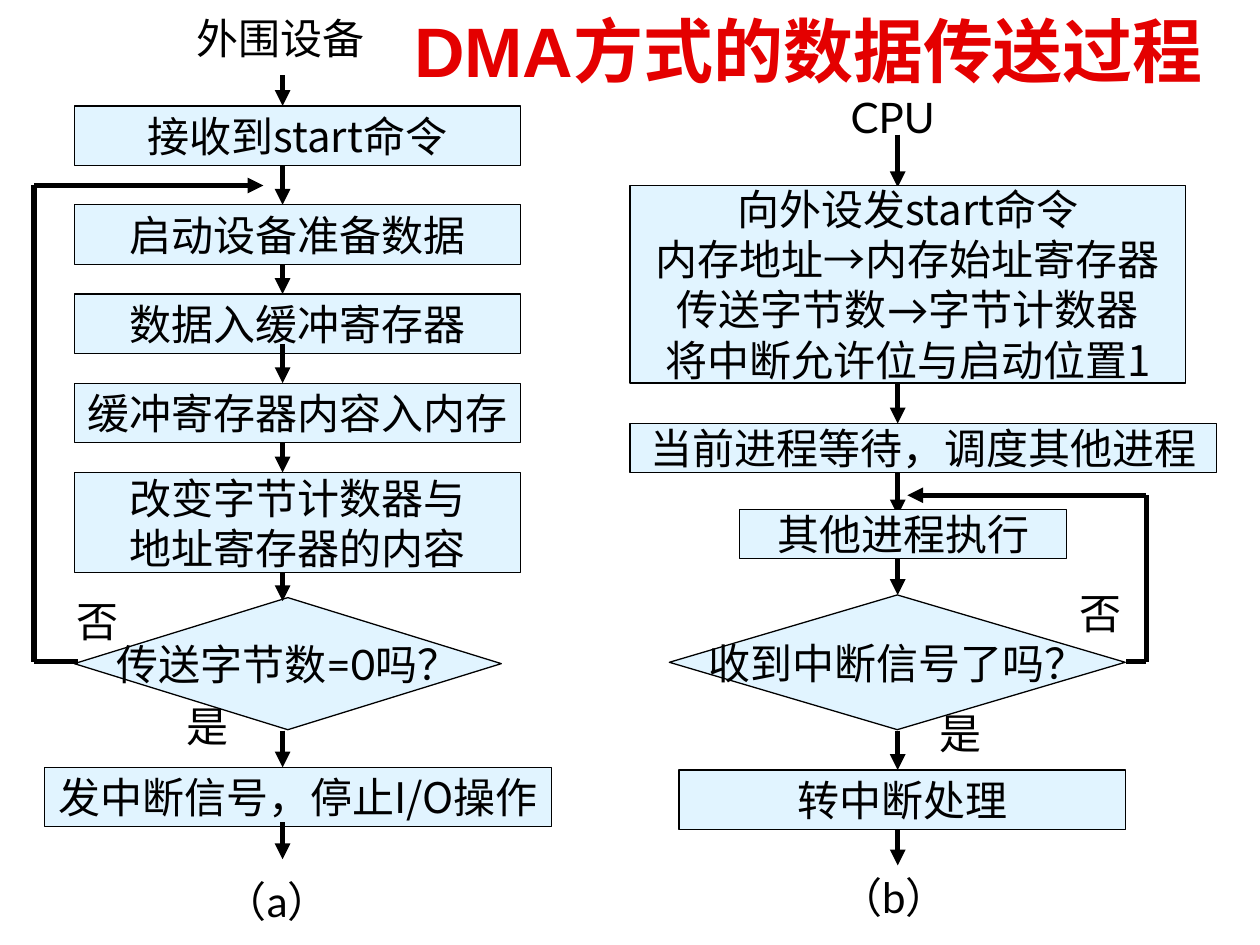
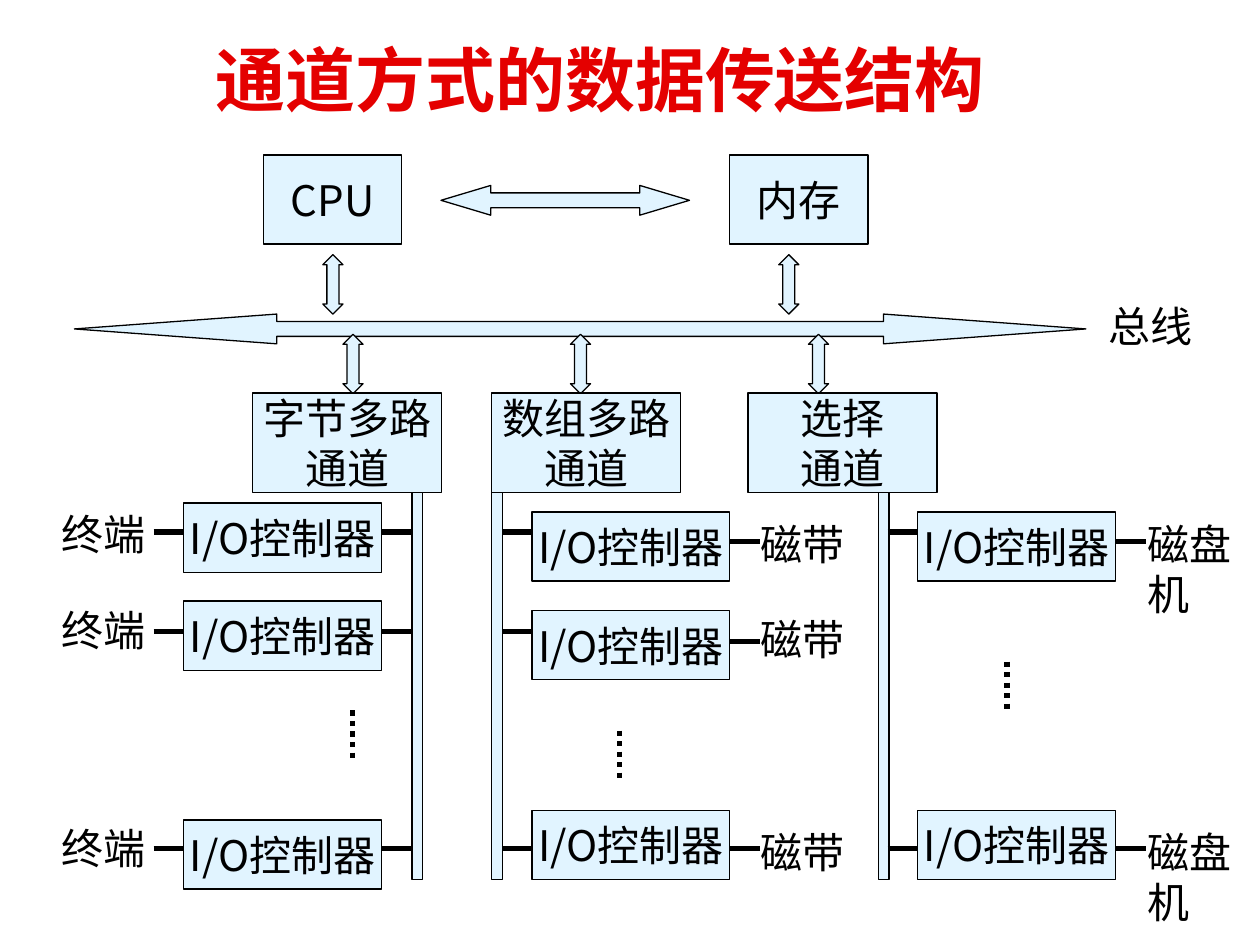
from pptx import Presentation
from pptx.dml.color import RGBColor
from pptx.enum.dml import MSO_LINE
from pptx.enum.shapes import MSO_CONNECTOR, MSO_SHAPE as Preset
from pptx.enum.text import MSO_ANCHOR as Anchor, MSO_AUTO_SIZE as AutoSize, PP_ALIGN as Align
from pptx.oxml.ns import qn
from pptx.util import Pt
from lxml.etree import SubElement

COLORS = {"title": "E40000", "ink": "000000", "box": "E1F4FF", "paper": "FFFFFF"}
BOX_FONT, LABEL_FONT, TITLE_FONT = "Noto Sans CJK SC", "Lato", "Arial"
TITLE_ONLY = 5


def color(name):
    return RGBColor.from_string(COLORS[name])


class Deck:
    """Holds the shared style and the slide being drawn; lengths are points."""

    def __init__(self):
        self.presentation = Presentation()
        self.presentation.slide_width = Pt(720)
        self.presentation.slide_height = Pt(540)
        self.slide = None

    def add_slide(self, text, left, top, width, height):
        layout = self.presentation.slide_layouts[TITLE_ONLY]
        self.slide = self.presentation.slides.add_slide(layout)
        title = self.slide.shapes.title
        title.left, title.top = Pt(left), Pt(top)
        title.width, title.height = Pt(width), Pt(height)
        title.fill.solid()
        title.fill.fore_color.rgb = color("paper")
        frame = title.text_frame
        frame.auto_size = AutoSize.NONE
        frame.vertical_anchor = Anchor.MIDDLE
        paragraph = frame.paragraphs[0]
        paragraph.alignment = Align.LEFT
        self.run(paragraph, text, TITLE_FONT, 40, "title", True)

    def run(self, paragraph, text, font_name, size=24, ink="ink", bold=False):
        run = paragraph.add_run()
        run.text = text
        font = run.font
        font.size, font.bold, font.name = Pt(size), bold, font_name
        font.color.rgb = color(ink)
        SubElement(run._r.get_or_add_rPr(), qn("a:ea")).set("typeface", font_name)

    def shape(self, preset, left, top, width, height, *lines, adjustments=()):
        """Each line is a string or a list of (text, font) runs."""
        shape = self.slide.shapes.add_shape(preset, Pt(left), Pt(top), Pt(width), Pt(height))
        shape.shadow.inherit = False
        shape.fill.solid()
        shape.fill.fore_color.rgb = color("box")
        shape.line.color.rgb = color("ink")
        shape.line.width = Pt(0.75)
        for index, value in enumerate(adjustments):
            shape.adjustments[index] = value
        frame = shape.text_frame
        frame.word_wrap = False
        frame.vertical_anchor = Anchor.MIDDLE
        for index, line in enumerate(lines):
            paragraph = frame.add_paragraph() if index else frame.paragraphs[0]
            paragraph.alignment = Align.CENTER
            if len(lines) > 1:
                paragraph.line_spacing = Pt(28.6)
            for text, font in [(line, BOX_FONT)] if isinstance(line, str) else line:
                self.run(paragraph, text, font)

    def box(self, left, top, width, height, *lines):
        self.shape(Preset.RECTANGLE, left, top, width, height, *lines)

    def label(self, text, left, top, width, height=36):
        box = self.slide.shapes.add_textbox(Pt(left), Pt(top), Pt(width), Pt(height))
        box.text_frame.word_wrap = True
        self.run(box.text_frame.paragraphs[0], text, LABEL_FONT)

    def line(self, x1, y1, x2, y2, arrow=False, dotted=False):
        connector = self.slide.shapes.add_connector(
            MSO_CONNECTOR.STRAIGHT, Pt(x1), Pt(y1), Pt(x2), Pt(y2))
        connector.line.color.rgb = color("ink")
        connector.line.width = Pt(3)
        if dotted:
            connector.line.dash_style = MSO_LINE.ROUND_DOT
        properties = connector._element.spPr
        if arrow:
            SubElement(properties.find(qn("a:ln")), qn("a:tailEnd")).set("type", "triangle")
        SubElement(properties, qn("a:effectLst"))

    def down_arrows(self, x, spans):
        for top, bottom in spans:
            self.line(x, top, x, bottom, arrow=True)

    def loop_back(self, start_x, side_x, end_x, low_y, high_y):
        self.line(start_x, low_y, side_x, low_y)
        self.line(side_x, high_y, side_x, low_y)
        self.line(side_x, high_y, end_x, high_y, arrow=True)


def draw_device_flow(deck):
    axis = 161.5
    deck.shape(Preset.DIAMOND, 42.5, 341.5, 244, 75.5, [("传送字节数=0吗？", LABEL_FONT)])
    deck.down_arrows(axis, [(43, 60.5), (94.5, 117), (145.5, 168), (247.5, 270),
                            (315.5, 343.5), (417.5, 438.5)])
    deck.box(42.5, 60.5, 255, 34, "接收到start命令")
    for index, step in enumerate(["启动设备准备数据", "数据入缓冲寄存器", "缓冲寄存器内容入内存"]):
        deck.box(42.5, 117 + 51 * index, 255, 34, step)
    deck.box(42.5, 270, 255, 57, "改变字节计数器与", "地址寄存器的内容")
    deck.box(25.5, 438.5, 289.5, 34, "发中断信号，停止I/O操作")
    deck.down_arrows(axis, [(196.5, 219), (470, 491)])
    deck.loop_back(44.5, 19.5, 150.5, 378, 106)
    deck.label("否", 36.5, 336.5, 45.5)
    deck.label("是", 99.5, 396.5, 45.5)
    deck.label("外围设备", 105, 3.5, 113)
    deck.label("（a）", 121.5, 497, 96.5)


def draw_cpu_flow(deck):
    deck.down_arrows(513, [(77, 107), (219, 242), (268.5, 294.5), (317.5, 340),
                           (417.5, 440), (474.5, 494.5)])
    deck.box(360, 106, 317.5, 113, "向外设发start命令", "内存地址→内存始址寄存器",
             [("传送字节数", BOX_FONT), ("→字节计数器", LABEL_FONT)],
             "将中断允许位与启动位置1")
    deck.box(360, 242, 335, 28, "当前进程等待，调度其他进程")
    deck.box(422.5, 291, 187, 28, "其他进程执行")
    deck.shape(Preset.DIAMOND, 382.5, 340, 260.5, 77, "收到中断信号了吗？")
    deck.box(388, 440, 255, 34, "转中断处理")
    deck.loop_back(643.5, 655, 518.5, 378, 283)
    deck.label("是", 530, 400.5, 45.5)
    deck.label("否", 610, 332, 45.5)
    deck.label("CPU", 479, 49, 73.5)
    deck.label("（b）", 473, 494.5, 96.5)


def draw_bus(deck):
    for name, left in [("CPU", 150.5), ("内存", 417)]:
        deck.box(left, 88.5, 79, 51, name)
    for left, top, width, head in [(252, 106, 142, 1.67), (42.5, 179.5, 578, 6.8)]:
        deck.shape(Preset.LEFT_RIGHT_ARROW, left, top, width, 17, adjustments=(0.5, head))
    for left, top in [(184.5, 145.5), (445, 145.5), (462, 191), (196, 191), (326, 191)]:
        deck.shape(Preset.UP_DOWN_ARROW, left, top, 11.5, 34, adjustments=(0.5, 0.6))
    deck.label("总线", 626.5, 168, 65)


def draw_channel(deck, name, left, bus_left, controller_left, device, device_left, rows, dots):
    """Rows hold the controller top, the left and right stub heights and the label top."""
    controller_width, stub = 113, 17.25
    controller_right = controller_left + controller_width
    deck.box(left, 224.5, 108, 57, name, "通道")
    deck.box(bus_left, 281.5, 6, 221)
    for top, left_y, right_y, label_top in rows:
        deck.box(controller_left, top, controller_width, 39.5, "I/O控制器")
        deck.line(controller_left - stub, left_y, controller_left, left_y)
        deck.line(controller_right, right_y, controller_right + stub, right_y)
        deck.label(device, device_left, label_top, 65, 65 if len(device) > 2 else 36)
    dots_x, dots_top = dots
    deck.line(dots_x, dots_top, dots_x, dots_top + 28, dotted=True)


def main():
    deck = Deck()
    deck.add_slide("DMA方式的数据传送过程", 229.5, 9.5, 481.5, 37.5)
    draw_device_flow(deck)
    draw_cpu_flow(deck)

    deck.add_slide("通道方式的数据传送结构", 116, 15, 568, 60)
    draw_bus(deck)
    first, middle, last = (292.5, 304, 309.5, 292.5), (349, 361, 366.5, 347), (463, 485, 485, 468.5)
    draw_channel(deck, "字节多路", 144.5, 235.5, 105, "终端", 28,
                 [(287.5, 304, 304, 287), (343.5, 361, 361, 342), (468.5, 485, 485, 466.5)],
                 (201.5, 406))
    draw_channel(deck, "数组多路", 281, 281, 304, "磁带", 427.5, [first, middle, last], (354, 417.5))
    draw_channel(deck, "选择", 427.5, 502, 524.5, "磁盘机", 648.5, [first, last], (575.5, 378))
    deck.presentation.save("out.pptx")


if __name__ == "__main__":
    main()
